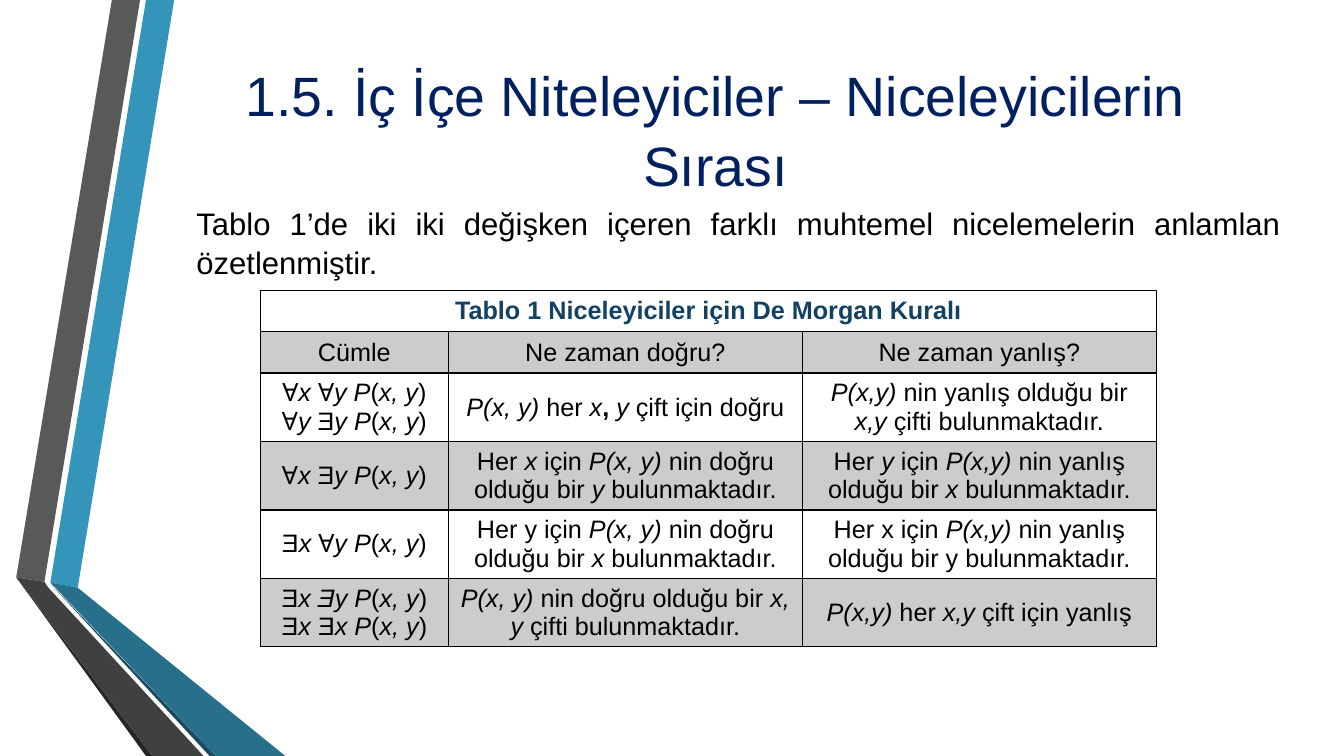
from lxml import etree
from pptx import Presentation
from pptx.dml.color import RGBColor
from pptx.enum.text import MSO_ANCHOR, PP_ALIGN
from pptx.oxml.ns import qn
from pptx.util import Cm, Pt

CENTER, JUSTIFY = PP_ALIGN.CENTER, PP_ALIGN.JUSTIFY
TOP, MIDDLE = MSO_ANCHOR.TOP, MSO_ANCHOR.MIDDLE
NAVY = RGBColor(0x00, 0x20, 0x60)
BLACK = RGBColor(0x00, 0x00, 0x00)
CAPTION_BLUE = RGBColor(0x13, 0x41, 0x63)
SHADE = RGBColor(0xCC, 0xCC, 0xCC)
TEAL = RGBColor(0x34, 0x94, 0xBA)
MID_TEAL = RGBColor(0x27, 0x6F, 0x8B)
DARK_TEAL = RGBColor(0x1A, 0x4A, 0x5D)
GRAY = RGBColor(0x59, 0x59, 0x59)
MID_GRAY = RGBColor(0x40, 0x40, 0x40)
DARK_GRAY = RGBColor(0x26, 0x26, 0x26)
FONT = "Arial"

# Content: *...* marks italics, a leading ! inside a marked part makes it bold
TITLE = "1.5. İç İçe Niteleyiciler – Niceleyicilerin Sırası"
INTRO = ("Tablo 1’de iki iki değişken içeren farklı muhtemel nicelemelerin "
         "anlamlan özetlenmiştir.")
CAPTION = "Tablo 1 Niceleyiciler için De Morgan Kuralı"
ROWS = [
    ("Cümle", "Ne zaman doğru?", "Ne zaman yanlış?"),
    ("Ɐ*x *Ɐ*y P*(*x, y*)\nⱯ*y *Ǝ*y P*(*x, y*)",
     "*P(x, y) *her *x**!, **y *çift için doğru",
     "*P(x,y) *nin yanlış olduğu bir *x,y *çifti bulunmaktadır."),
    ("Ɐ*x *Ǝ*y P*(*x, y*)",
     "Her *x *için *P(x, y) *nin doğru olduğu bir *y* bulunmaktadır.",
     "Her *y* için *P(x,y) *nin yanlış olduğu bir *x* bulunmaktadır."),
    ("Ǝ*x *Ɐ*y P*(*x, y*)",
     "Her y için *P(x, y) *nin doğru olduğu bir *x *bulunmaktadır.",
     "Her x için *P(x,y) *nin yanlış olduğu bir y bulunmaktadır."),
    ("Ǝ*x Ǝy P*(*x, y*)\nƎ*x *Ǝ*x P*(*x, y*)",
     "*P(x, y) *nin doğru olduğu bir *x, y *çifti bulunmaktadır.",
     "*P(x,y) *her *x,y *çift için yanlış"),
]
COLUMN_WIDTHS = [4.74, 8.92, 8.92]
ROW_HEIGHTS = [1.04] * 2 + [1.68] * 4

# Side ribbons: colour and corner points in cm
RIBBONS = [
    (TEAL, [(1.27, 14.68), (1.96, 14.81), (4.39, 0), (3.68, 0)]),
    (GRAY, [(3.53, 0), (2.82, 0), (0.41, 14.55), (1.12, 14.66)]),
    (DARK_GRAY, [(0.41, 14.55), (3.68, 19.05), (3.84, 19.05)]),
    (DARK_TEAL, [(1.27, 14.71), (5.28, 19.05), (5.44, 19.05)]),
    (MID_TEAL, [(1.27, 14.68), (5.44, 19.05), (7.19, 19.05), (1.96, 14.81)]),
    (MID_GRAY, [(5.13, 19.05), (1.22, 14.81), (1.12, 14.66), (0.41, 14.55),
                (3.84, 19.05)]),
]


def style(para, size, color, align, bold=False):
    para.alignment = align
    para.font.name = FONT
    para.font.size = Pt(size)
    para.font.color.rgb = color
    para.font.bold = bold


def add_ribbon(page, color, points):
    corners = [(Cm(x), Cm(y)) for x, y in points]
    builder = page.shapes.build_freeform(*corners[0])
    builder.add_line_segments(corners[1:], close=True)
    ribbon = builder.convert_to_shape()
    ribbon.shadow.inherit = False
    ribbon.fill.solid()
    ribbon.fill.fore_color.rgb = color
    ribbon.line.fill.background()


def add_text(page, text, left, top, height, size, color, align):
    box = page.shapes.add_textbox(Cm(left), Cm(top), Cm(27.84), Cm(height))
    frame = box.text_frame
    frame.word_wrap = True
    frame.vertical_anchor = TOP
    frame.margin_top = frame.margin_bottom = 0
    para = frame.paragraphs[0]
    para.text = text
    para.line_spacing = 1.05
    style(para, size, color, align)


def add_borders(cell):
    properties = cell._tc.get_or_add_tcPr()
    for side in ("a:lnL", "a:lnR", "a:lnT", "a:lnB"):
        line = etree.SubElement(properties, qn(side), w=str(Pt(1)))
        fill = etree.SubElement(line, qn("a:solidFill"))
        etree.SubElement(fill, qn("a:srgbClr"), val=str(BLACK))


def fill_cell(cell, text, color=BLACK, bold=False):
    cell.vertical_anchor = MIDDLE
    cell.margin_top = cell.margin_bottom = Cm(0.1)
    for number, line in enumerate(text.split("\n")):
        frame = cell.text_frame
        para = frame.add_paragraph() if number else frame.paragraphs[0]
        style(para, 18, color, CENTER, bold)
        for index, part in enumerate(line.split("*")):
            if not part:
                continue
            span = para.add_run()
            span.text = part.lstrip("!")
            if part.startswith("!"):
                span.font.bold = True
            elif index % 2:
                span.font.italic = True


def add_quantifier_table(page):
    table = page.shapes.add_table(
        len(ROW_HEIGHTS), len(COLUMN_WIDTHS), Cm(6.56), Cm(7.32),
        Cm(sum(COLUMN_WIDTHS)), Cm(sum(ROW_HEIGHTS))).table
    table.first_row = table.horz_banding = False
    for column, width in zip(table.columns, COLUMN_WIDTHS):
        column.width = Cm(width)
    for index, (row, height) in enumerate(zip(table.rows, ROW_HEIGHTS)):
        row.height = Cm(height)
        for cell in row.cells:
            add_borders(cell)
            if index % 2:
                cell.fill.solid()
                cell.fill.fore_color.rgb = SHADE
            else:
                cell.fill.background()
    table.cell(0, 0).merge(table.cell(0, 2))
    fill_cell(table.cell(0, 0), CAPTION, CAPTION_BLUE, True)
    for r, texts in enumerate(ROWS, 1):
        for c, text in enumerate(texts):
            fill_cell(table.cell(r, c), text)


def main():
    deck = Presentation()
    deck.slide_width, deck.slide_height = Cm(33.87), Cm(19.05)
    page = deck.slides.add_slide(deck.slide_layouts[6])
    for color, points in RIBBONS:
        add_ribbon(page, color, points)
    add_text(page, TITLE, 4.11, 1.45, 3.4, 39.6, NAVY, CENTER)
    add_text(page, INTRO, 4.7, 5.11, 2, 22.2, BLACK, JUSTIFY)
    add_quantifier_table(page)
    deck.save("out.pptx")


if __name__ == "__main__":
    main()
